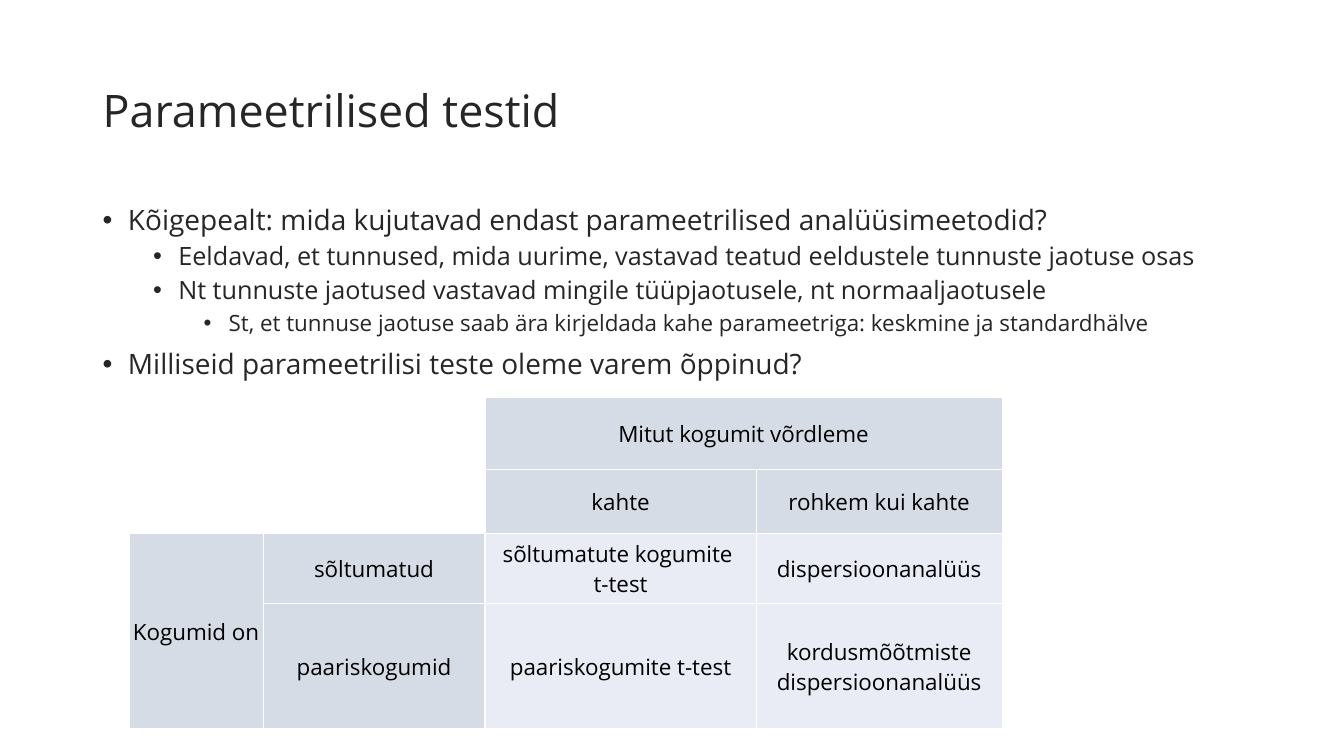
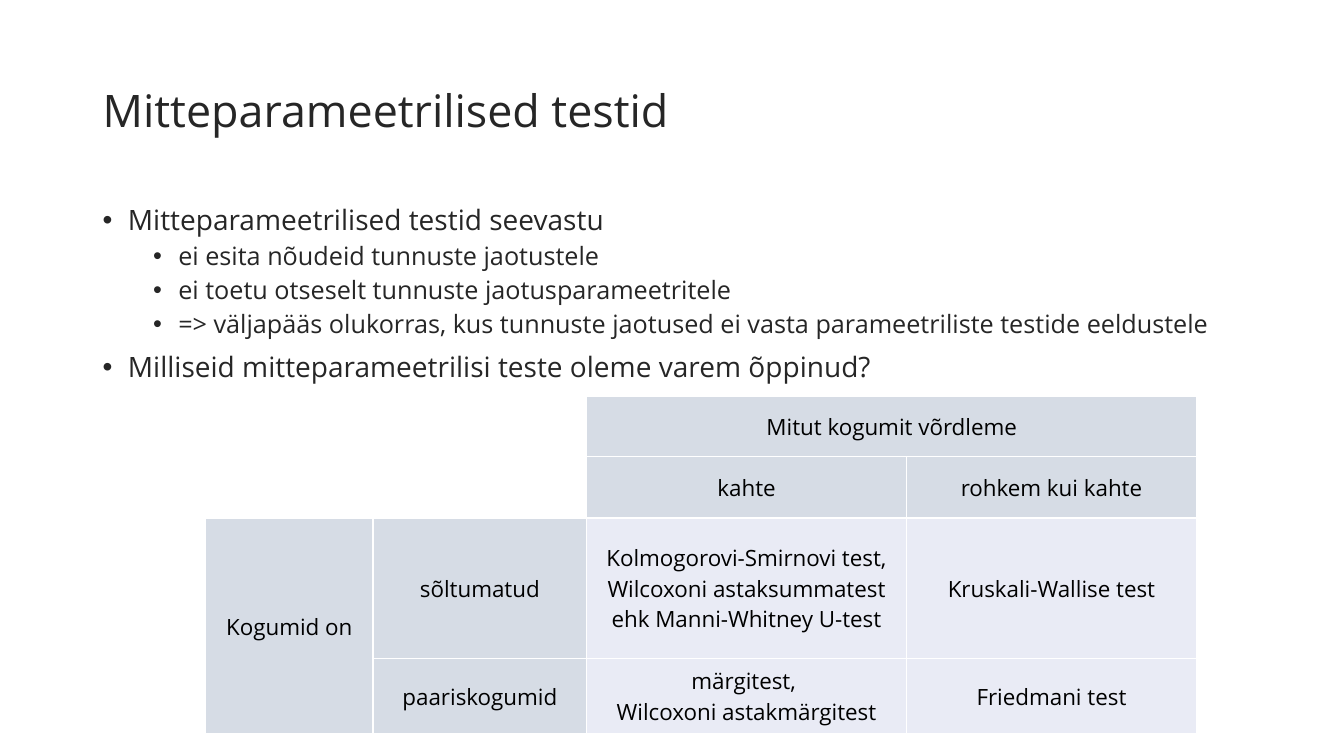
from lxml.etree import SubElement
from pptx import Presentation
from pptx.dml.color import RGBColor
from pptx.enum.text import MSO_ANCHOR, PP_ALIGN
from pptx.oxml.ns import qn
from pptx.util import Inches, Pt


def rgb(value):
    return RGBColor.from_string(value)


class Deck:
    FONT = "Open Sans"
    TEXT, CELL_TEXT = "262626", "000000"
    HEADER, RESULT, BORDER = "D6DCE5", "E9EBF5", "FFFFFF"
    LEVELS = [(20, 10), (18, 5), (16, 5)]  # text size, space before

    def __init__(self):
        self.prs = Presentation()
        self.prs.slide_width = Inches(13.33)
        self.prs.slide_height = Inches(7.5)
        self.s = None

    def font(self, p, size, color):
        for r in p.runs:
            r.font.name = self.FONT
            r.font.size = Pt(size)
            r.font.color.rgb = rgb(color)

    def box(self, x, y, w, h):
        tf = self.s.shapes.add_textbox(
            Inches(x), Inches(y), Inches(w), Inches(h)).text_frame
        tf.word_wrap = True
        return tf

    # New slide with its title
    def slide(self, title):
        self.s = self.prs.slides.add_slide(self.prs.slide_layouts[6])
        tf = self.box(0.92, 0.4, 11.5, 1.45)
        tf.vertical_anchor = MSO_ANCHOR.MIDDLE
        tf.text = title
        p = tf.paragraphs[0]
        p.line_spacing = 0.9
        self.font(p, 32, self.TEXT)

    # Bulleted list of (level, text)
    def bullets(self, items):
        tf = self.box(0.92, 2, 11.61, 4.76)
        for i, (level, text) in enumerate(items):
            p = tf.add_paragraph() if i else tf.paragraphs[0]
            p.text = text
            p.level = level
            pPr = p._p.get_or_add_pPr()
            pPr.set("marL", str(Inches(0.25 + 0.5 * level)))
            pPr.set("indent", str(Inches(-0.25)))
            SubElement(pPr, qn("a:buFont"), typeface="Arial")
            SubElement(pPr, qn("a:buChar"), char="•")
            size, before = self.LEVELS[level]
            p.line_spacing = 0.9
            if i:
                p.space_before = Pt(before)
            self.font(p, size, self.TEXT)

    def borders(self, cell):
        tcPr = cell._tc.get_or_add_tcPr()
        for side in ("lnL", "lnR", "lnT", "lnB"):
            ln = SubElement(tcPr, qn("a:" + side), w=str(Pt(1)))
            fill = SubElement(ln, qn("a:solidFill"))
            SubElement(fill, qn("a:srgbClr"), val=self.BORDER)

    def cell(self, cell, text, fill):
        self.borders(cell)
        if fill:
            cell.fill.solid()
            cell.fill.fore_color.rgb = rgb(fill)
        else:
            cell.fill.background()
        cell.vertical_anchor = MSO_ANCHOR.MIDDLE
        cell.margin_left = cell.margin_right = cell.margin_top = Inches(0.01)
        cell.margin_bottom = 0
        cell.text_frame.text = text
        for p in cell.text_frame.paragraphs:
            p.alignment = PP_ALIGN.CENTER
            self.font(p, 16, self.CELL_TEXT)

    # Which test to use: sample type by number of samples
    def test_table(self, x, y, cols, rows, independent, paired):
        grid = [
            ["", "", "Mitut kogumit võrdleme", ""],
            ["", "", "kahte", "rohkem kui kahte"],
            ["Kogumid on", "sõltumatud", *independent],
            ["", "paariskogumid", *paired],
        ]
        table = self.s.shapes.add_table(
            4, 4, Inches(x), Inches(y),
            Inches(sum(cols)), Inches(sum(rows))).table
        table.first_row = table.horz_banding = False
        for col, width in zip(table.columns, cols):
            col.width = Inches(width)
        for row, height in zip(table.rows, rows):
            row.height = Inches(height)
        for i, line in enumerate(grid):
            for j, text in enumerate(line):
                if i < 2 and j < 2:
                    fill = None
                else:
                    fill = self.RESULT if i > 1 and j > 1 else self.HEADER
                self.cell(table.cell(i, j), text, fill)
        table.cell(0, 2).merge(table.cell(0, 3))
        table.cell(2, 0).merge(table.cell(3, 0))


def main():
    deck = Deck()

    # Parametric tests
    deck.slide("Parameetrilised testid")
    deck.bullets([
        (0, "Kõigepealt: mida kujutavad endast parameetrilised analüüsimeetodid?"),
        (1, "Eeldavad, et tunnused, mida uurime, vastavad teatud eeldustele "
            "tunnuste jaotuse osas"),
        (1, "Nt tunnuste jaotused vastavad mingile tüüpjaotusele, nt normaaljaotusele"),
        (2, "St, et tunnuse jaotuse saab ära kirjeldada kahe parameetriga: "
            "keskmine ja standardhälve"),
        (0, "Milliseid parameetrilisi teste oleme varem õppinud?"),
    ])
    deck.test_table(
        1.28, 3.94, [1.33, 2.2, 2.69, 2.44], [0.72, 0.63, 0.7, 1.24],
        ["sõltumatute kogumite \nt-test", "dispersioonanalüüs"],
        ["paariskogumite t-test", "kordusmõõtmiste dispersioonanalüüs"])

    # Non-parametric tests
    deck.slide("Mitteparameetrilised testid")
    deck.bullets([
        (0, "Mitteparameetrilised testid seevastu"),
        (1, "ei esita nõudeid tunnuste jaotustele"),
        (1, "ei toetu otseselt tunnuste jaotusparameetritele"),
        (1, "=> väljapääs olukorras, kus tunnuste jaotused ei vasta "
            "parameetriliste testide eeldustele"),
        (0, "Milliseid mitteparameetrilisi teste oleme varem õppinud?"),
    ])
    deck.test_table(
        2.04, 3.93, [1.66, 2.12, 3.17, 2.88], [0.6, 0.61, 1.39, 0.75],
        ["Kolmogorovi-Smirnovi test, Wilcoxoni astaksummatest "
         "ehk Manni-Whitney U-test", "Kruskali-Wallise test"],
        ["märgitest, \nWilcoxoni astakmärgitest", "Friedmani test"])

    deck.prs.save("out.pptx")


if __name__ == "__main__":
    main()
